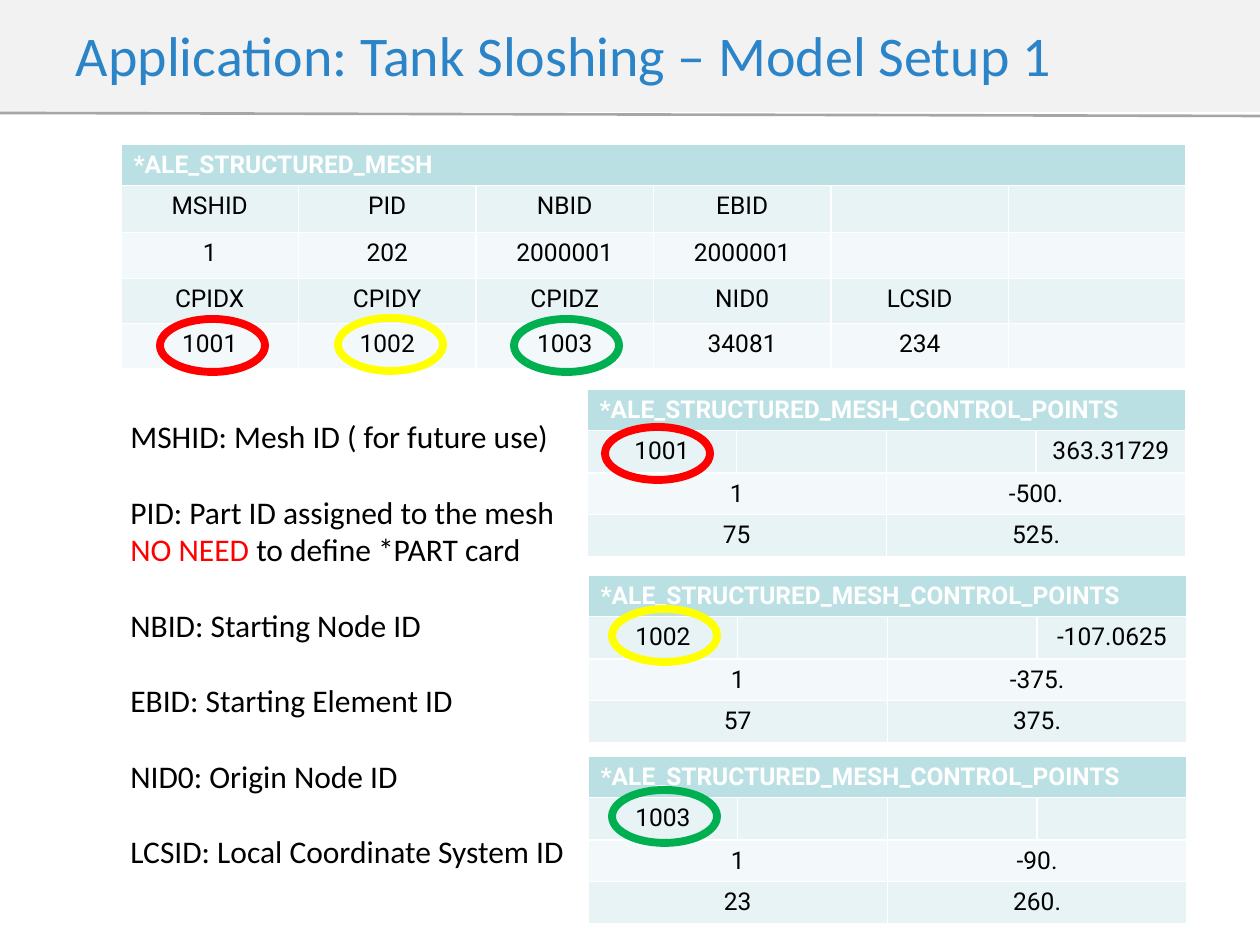
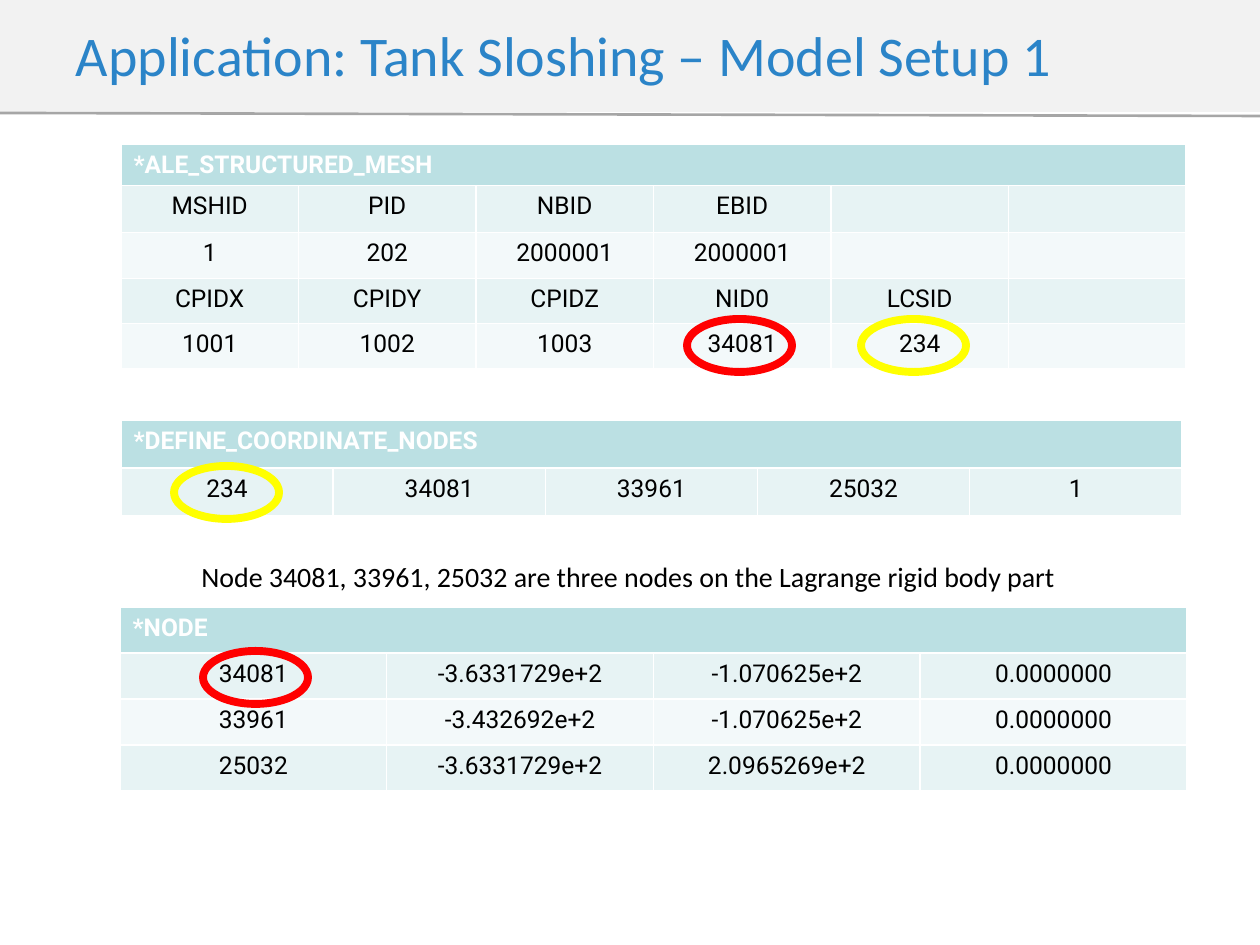
"""Build two slides on the tank sloshing model setup."""
from lxml import etree
from pptx import Presentation
from pptx.dml.color import RGBColor
from pptx.enum.shapes import MSO_CONNECTOR, MSO_SHAPE
from pptx.enum.text import MSO_ANCHOR, MSO_AUTO_SIZE, PP_ALIGN
from pptx.oxml.ns import qn
from pptx.util import Emu, Pt

LEFT, CENTER = PP_ALIGN.LEFT, PP_ALIGN.CENTER
MIDDLE, NO_FIT = MSO_ANCHOR.MIDDLE, MSO_AUTO_SIZE.NONE
OVAL, STRAIGHT = MSO_SHAPE.OVAL, MSO_CONNECTOR.STRAIGHT
SCALE = 914400 / 126
COLORS = {
    "title": "2B84C8", "band": "F2F2F2", "rule": "A6A6A6",
    "head": "BBE0E3", "odd": "E7F3F4", "even": "F3F9FA",
    "white": "FFFFFF", "black": "000000",
    "red": "FF0000", "yellow": "FFFF00", "green": "00B050",
}
TITLE = {"name": "Calibri", "size": Pt(32), "bold": False}
BODY = {"name": "Calibri", "size": Pt(18), "bold": False}
NOTE = {"name": "Calibri", "size": Pt(16), "bold": False}
HEAD = {"name": "Roboto", "size": Pt(14), "bold": True}
CELL = {"name": "Roboto", "size": Pt(14), "bold": False}

MESH = [
    ["MSHID", "PID", "NBID", "EBID", "", ""],
    ["1", "202", "2000001", "2000001", "", ""],
    ["CPIDX", "CPIDY", "CPIDZ", "NID0", "LCSID", ""],
    ["1001", "1002", "1003", "34081", "234", ""],
]
POINTS = [
    (587, 389, "1001", "363.31729", "-500.", "75", "525."),
    (588, 575, "1002", "-107.0625", "-375.", "57", "375."),
    (588, 756, "1003", "", "-90.", "23", "260."),
]
NODES = [
    ["34081", "-3.6331729e+2", "-1.070625e+2", "0.0000000"],
    ["33961", "-3.432692e+2", "-1.070625e+2", "0.0000000"],
    ["25032", "-3.6331729e+2", "2.0965269e+2", "0.0000000"],
]
TERMS = [
    (0, [("MSHID: Mesh ID ( for future use)", "black")]),
    (1, [("PID: Part ID assigned to the mesh", "black")]),
    (0, [("NO NEED ", "red"), ("to define *PART card", "black")]),
    (1, [("NBID: Starting Node ID", "black")]),
    (1, [("EBID: Starting Element ID", "black")]),
    (1, [("NID0: Origin Node ID", "black")]),
    (1, [("LCSID: Local Coordinate System ID", "black")]),
]
RINGS_1 = [
    (160, 319, "red"), (338, 318, "yellow"), (514, 319, "green"),
    (605, 427, "red"), (612, 609, "yellow"), (612, 790, "green"),
]
RINGS_2 = [
    (687, 319, "red"), (861, 319, "yellow"),
    (203, 651, "red"), (174, 466, "yellow"),
]


def px(num):
    """Turn pixels into EMU."""
    return Emu(round(num * SCALE))


def tint(name):
    """Look up a named colour."""
    return RGBColor.from_string(COLORS[name])


def paint(item, name):
    """Fill a shape or cell with a flat colour."""
    item.fill.solid()
    item.fill.fore_color.rgb = tint(name)


def write(para, text, form, color):
    """Add a formatted run to a paragraph."""
    run = para.add_run()
    run.text = text
    for key, value in form.items():
        setattr(run.font, key, value)
    run.font.color.rgb = tint(color)


def frame(deck):
    """Add a slide with the title band and the rule under it."""
    slide = deck.slides.add_slide(deck.slide_layouts[5])
    title = slide.shapes.title
    title.left, title.top, title.width, title.height = map(px, (0, -4, 1260, 116))
    paint(title, "band")
    box = title.text_frame
    form = {
        "margin_left": px(76), "margin_right": px(13), "margin_top": px(6),
        "margin_bottom": px(6), "vertical_anchor": MIDDLE,
        "auto_size": NO_FIT, "word_wrap": True,
    }
    for key, value in form.items():
        setattr(box, key, value)
    para = box.paragraphs[0]
    para.alignment = LEFT
    write(para, "Application: Tank Sloshing – Model Setup 1", TITLE, "title")
    rule = slide.shapes.add_connector(STRAIGHT, *map(px, (0, 113, 1260, 116)))
    rule.line.color.rgb = tint("rule")
    rule.line.width = Pt(1.5)
    etree.SubElement(rule._element.spPr, qn("a:effectLst"))
    return slide


def grid(slide, place, tall, head, rows):
    """Add a banded table; None joins a cell to the one on its left."""
    left, top, width = map(px, place)
    count = len(rows[0])
    rows = [[head] + [None] * (count - 1)] + rows
    table = slide.shapes.add_table(
        len(rows), count, left, top, width, px(sum(tall))).table
    for col in table.columns:
        col.width = Emu(width // count)
    for r, (row, high) in enumerate(zip(rows, tall)):
        table.rows[r].height = px(high)
        band = "head" if r == 0 else "odd" if r % 2 else "even"
        for c, text in enumerate(row):
            cell = table.cell(r, c)
            paint(cell, band)
            para = cell.text_frame.paragraphs[0]
            para.alignment = CENTER if r else LEFT
            if text:
                write(para, text, CELL if r else HEAD, "black" if r else "white")
            else:
                etree.SubElement(para._p, qn("a:endParaRPr"), sz="1400")
        starts = [c for c, text in enumerate(row) if text is not None]
        for first, after in zip(starts, starts[1:] + [count]):
            if after - first > 1:
                table.cell(r, first).merge(table.cell(r, after - 1))


def ring(slide, left, top, color):
    """Circle a value with a thick open ellipse."""
    oval = slide.shapes.add_shape(OVAL, *map(px, (left, top, 105, 53)))
    oval.shadow.inherit = False
    oval.fill.background()
    oval.line.color.rgb = tint(color)
    oval.line.width = Pt(4.5)


def label(slide, place, lines, form, wrap):
    """Add a text box of (gap, runs) lines."""
    box = slide.shapes.add_textbox(*map(px, place)).text_frame
    box.word_wrap = wrap
    for i, (gap, runs) in enumerate(lines):
        para = box.add_paragraph() if i else box.paragraphs[0]
        if gap:
            para.space_before = Pt(21.5)
        for text, color in runs:
            write(para, text, form, color)


def mesh(slide):
    """Add the structured mesh card."""
    grid(slide, (121, 144, 1065), [41, 47, 46, 45, 45],
         "*ALE_STRUCTURED_MESH", MESH)


def main():
    """Build and save the deck."""
    deck = Presentation()
    deck.slide_width, deck.slide_height = px(1260), px(945)

    slide = frame(deck)
    mesh(slide)
    for left, top, key, shift, low, last, high in POINTS:
        rows = [[key, "", "", shift], ["1", None, low, None],
                [last, None, high, None]]
        grid(slide, (left, top, 599), [41] * 4,
             "*ALE_STRUCTURED_MESH_CONTROL_POINTS", rows)
    for spot in RINGS_1:
        ring(slide, *spot)
    label(slide, (118, 411, 464, 471), TERMS, BODY, True)

    slide = frame(deck)
    mesh(slide)
    grid(slide, (120, 607, 1067), [46] * 4, "*NODE", NODES)
    grid(slide, (121, 420, 1061), [48] * 2, "*DEFINE_COORDINATE_NODES",
         [["234", "34081", "33961", "25032", "1"]])
    for spot in RINGS_2:
        ring(slide, *spot)
    note = "Node 34081, 33961, 25032 are three nodes on the Lagrange rigid body part"
    label(slide, (189, 553, 891, 47), [(0, [(note, "black")])], NOTE, False)
    deck.save("out.pptx")


if __name__ == "__main__":
    main()
